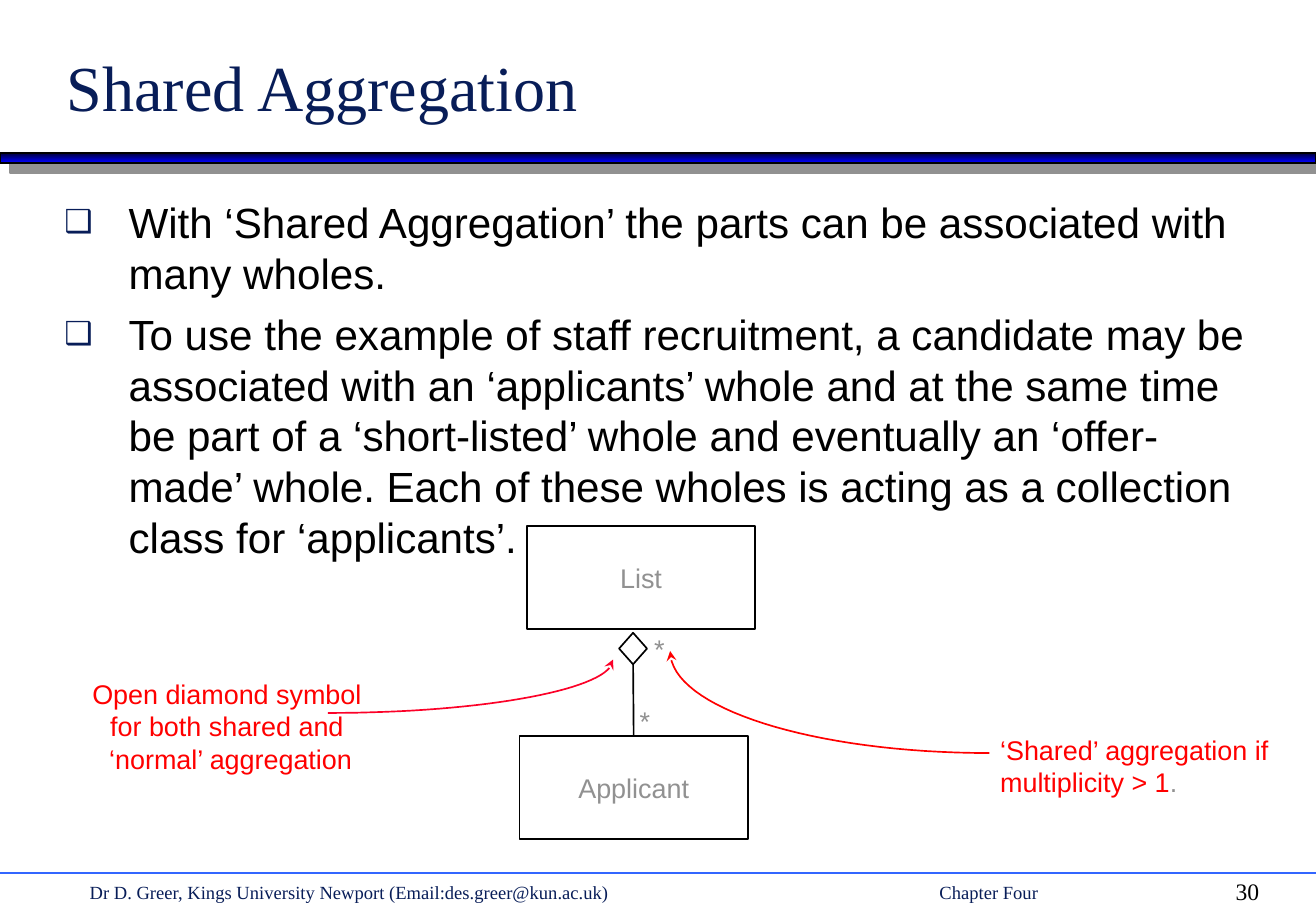
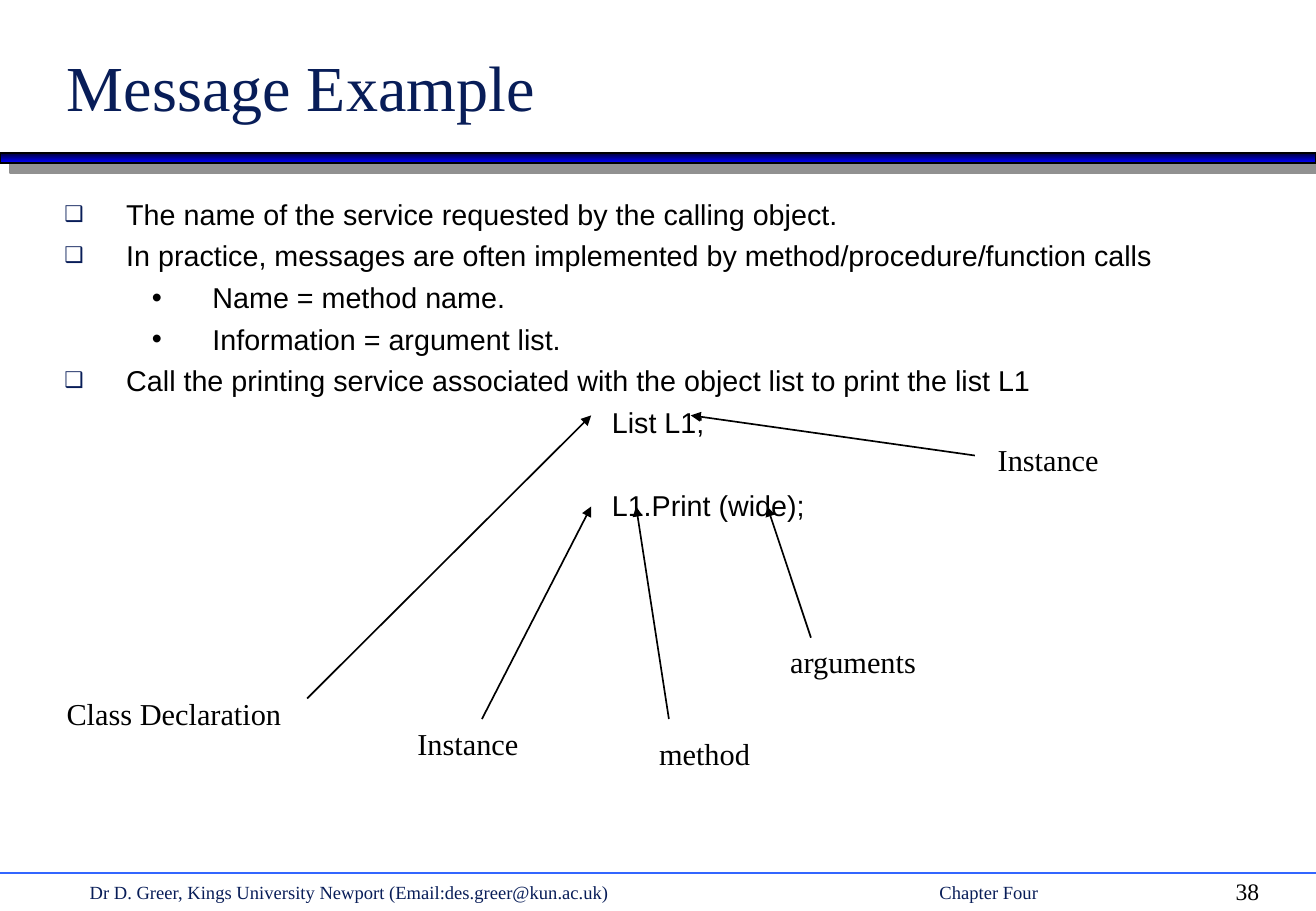
import pptx
import pptx.util
import pptx.dml.color
import pptx.enum.shapes
import pptx.enum.text
import pptx.oxml
import pptx.oxml.ns

Inches = pptx.util.Inches
Pt = pptx.util.Pt
RGBColor = pptx.dml.color.RGBColor
Shapes = pptx.enum.shapes.MSO_SHAPE
Align = pptx.enum.text.PP_ALIGN
Anchor = pptx.enum.text.MSO_ANCHOR
AutoSize = pptx.enum.text.MSO_AUTO_SIZE

NAVY = RGBColor(0x08, 0x1D, 0x58)
BLACK = RGBColor(0, 0, 0)
WHITE = RGBColor(255, 255, 255)
GRAY = RGBColor(0x91, 0x91, 0x91)
RED = RGBColor(255, 0, 0)
CRIMSON = RGBColor(0xFC, 0x01, 0x28)
RULE_BLUE = RGBColor(0x33, 0x66, 0xFF)
BAND_DARK = RGBColor(0, 0, 0x36)
BAND_BLUE = RGBColor(0, 0, 255)

SANS = "Arial"
SERIF = "Times New Roman"
WIDTH = 10.84
FOOTER = "Dr D. Greer, Kings University Newport (Email:des.greer@kun.ac.uk)"
SHADOW = (
    '<a:effectLst %s><a:outerShdw dist="107950" dir="2700000" algn="ctr" rotWithShape="0">'
    '<a:srgbClr val="919191"/></a:outerShdw></a:effectLst>'
)
SQUARE = {"left": 0.53, "indent": -0.53, "mark": "❑", "color": NAVY, "percent": 75}
SMALL_SQUARE = {**SQUARE, "left": 0.51, "indent": -0.51}
DOT = {"left": 1.22, "indent": -0.5, "mark": "•", "color": BLACK, "percent": 100, "level": 1}
CODE = {"left": 4.51, "indent": 0}


def assign(target, values):
    for name, value in values.items():
        setattr(target, name, value)


def add_xml(parent, markup):
    parent.append(pptx.oxml.parse_xml(markup % pptx.oxml.ns.nsdecls("a")))


class Lecture:
    def __init__(self):
        self.deck = pptx.Presentation()
        assign(self.deck, {"slide_width": Inches(WIDTH), "slide_height": Inches(7.5)})
        self.page = None

    def new_page(self, title, number):
        self.page = self.deck.slides.add_slide(self.deck.slide_layouts[1])
        heading = self.page.shapes.title
        self.place(heading, 0.45, 0.29, 9.25, 0.78)
        assign(heading.text_frame, {"vertical_anchor": Anchor.BOTTOM, "auto_size": AutoSize.NONE})
        para = heading.text_frame.paragraphs[0]
        para.alignment = Align.LEFT
        self.add_span(para, title, 38, NAVY, SERIF)
        self.band()
        self.line((0, 7.19), (WIDTH, 7.19), RULE_BLUE)
        self.label((0.64, 7.2, 6, 0.28), [FOOTER], 11, NAVY, SERIF)
        self.label((7.64, 7.2, 2, 0.28), ["Chapter Four"], 11, NAVY, SERIF)
        self.label((10.08, 7.17, 0.58, 0.33), [number], 14, BLACK, SERIF)

    def place(self, shape, left, top, width, height):
        assign(shape, {"left": Inches(left), "top": Inches(top),
                       "width": Inches(width), "height": Inches(height)})

    def add_span(self, para, text, size, color, font):
        span = para.add_run()
        span.text = text
        assign(span.font, {"size": Pt(size), "name": font})
        span.font.color.rgb = color

    def band(self):
        bar = self.shape(Shapes.RECTANGLE, 0, 1.26, WIDTH, 0.08)
        bar.fill.gradient()
        bar.fill.gradient_angle = 270
        for stop, color in zip(bar.fill.gradient_stops, (BAND_DARK, BAND_BLUE)):
            stop.color.rgb = color
        properties = bar._element.spPr
        properties.remove(properties.find(pptx.oxml.ns.qn("a:effectLst")))
        add_xml(properties, SHADOW)

    def shape(self, kind, left, top, width, height):
        shape = self.page.shapes.add_shape(
            kind, Inches(left), Inches(top), Inches(width), Inches(height))
        shape.shadow.inherit = False
        shape.fill.solid()
        shape.fill.fore_color.rgb = WHITE
        self.stroke(shape.line, BLACK)
        return shape

    def stroke(self, line, color, head=None):
        line.color.rgb = color
        line.width = Pt(1)
        if head:
            add_xml(line._get_or_add_ln(), f'<a:tailEnd %s type="{head}"/>')

    def class_box(self, name, left, top):
        box = self.shape(Shapes.RECTANGLE, left, top, 1.88, 0.85)
        assign(box.text_frame, {"vertical_anchor": Anchor.MIDDLE, "word_wrap": False})
        para = box.text_frame.paragraphs[0]
        para.alignment = Align.CENTER
        self.add_span(para, name, 16, GRAY, SANS)
        return box

    def label(self, frame, lines, size, color, font, align=Align.LEFT, wrap=True):
        box = self.page.shapes.add_textbox(*map(Inches, frame))
        box.text_frame.word_wrap = wrap
        for index, text in enumerate(lines):
            para = box.text_frame.add_paragraph() if index else box.text_frame.paragraphs[0]
            para.alignment = align
            self.add_span(para, text, size, color, font)
        return box

    def line(self, start, end, color=BLACK, head=None):
        line = self.page.shapes.add_connector(
            pptx.enum.shapes.MSO_CONNECTOR.STRAIGHT, *map(Inches, start + end))
        self.stroke(line.line, color, head)
        add_xml(line._element.spPr, "<a:effectLst %s/>")
        return line

    def curve(self, controls, color, steps=32):
        points = []
        for step in range(steps + 1):
            t = step / steps
            weights = ((1 - t) ** 3, 3 * t * (1 - t) ** 2, 3 * t * t * (1 - t), t ** 3)
            points.append(tuple(
                Inches(sum(weight * value for weight, value in zip(weights, axis)))
                for axis in zip(*controls)))
        builder = self.page.shapes.build_freeform(*points[0])
        builder.add_line_segments(points[1:], close=False)
        arc = builder.convert_to_shape()
        arc.shadow.inherit = False
        arc.fill.background()
        self.stroke(arc.line, color, "stealth")

    def body(self, items, size, gap):
        body = self.page.placeholders[1]
        self.place(body, 0.43, 1.57, 9.99, 5.35)
        body.text_frame.auto_size = AutoSize.NONE
        for index, (text, style, extra) in enumerate(items):
            para = body.text_frame.add_paragraph() if index else body.text_frame.paragraphs[0]
            assign(para, {"space_before": Pt(gap + extra), "level": style.get("level", 0)})
            self.add_span(para, text, size, BLACK, SANS)
            self.bullet(para, style)

    def bullet(self, para, style):
        properties = para._p.get_or_add_pPr()
        properties.set("marL", str(Inches(style["left"])))
        properties.set("indent", str(Inches(style["indent"])))
        if "mark" not in style:
            add_xml(properties, "<a:buNone %s/>")
            return
        add_xml(properties, f'<a:buClr %s><a:srgbClr val="{style["color"]}"/></a:buClr>')
        add_xml(properties, f'<a:buSzPct %s val="{style["percent"] * 1000}"/>')
        add_xml(properties, f'<a:buFont %s typeface="{SANS}"/>')
        add_xml(properties, f'<a:buChar %s char="{style["mark"]}"/>')


def shared_aggregation(lecture):
    lecture.new_page("Shared Aggregation", "30")
    lecture.body([
        ("With ‘Shared Aggregation’ the parts can be associated with many wholes.", SQUARE, 0),
        ("To use the example of staff recruitment, a candidate may be associated with an "
         "‘applicants’ whole and at the same time be part of a ‘short-listed’ whole and "
         "eventually an ‘offer-made’ whole. Each of these wholes is acting as a collection "
         "class for ‘applicants’.", SQUARE, 0),
    ], 25, 6.2)
    lecture.class_box("List", 4.34, 4.33)
    applicant = lecture.class_box("Applicant", 4.28, 6.06)
    diamond = lecture.shape(Shapes.DIAMOND, 5.1, 5.21, 0.23, 0.26)
    link = lecture.line((5.21, 5.47), (5.21, 6.06))
    link.begin_connect(diamond, 2)
    link.end_connect(applicant, 0)
    for left, top in ((5.29, 5.16), (5.17, 5.75)):
        lecture.label((left, top, 0.29, 0.37), ["*"], 16, GRAY, SANS, wrap=False)
    lecture.curve([(8.15, 6.2), (6.7, 6.2), (5.52, 5.83), (5.52, 5.36)], RED)
    lecture.curve([(2.7, 5.87), (4, 5.87), (5.05, 5.67), (5.05, 5.43)], CRIMSON)
    note = lecture.label((8.14, 5.99, 2.48, 0.63),
                         ["‘Shared’ aggregation if", "multiplicity > 1"],
                         16, RED, SANS, wrap=False)
    lecture.add_span(note.text_frame.paragraphs[1], ".", 16, GRAY, SANS)
    lecture.label((0.66, 5.53, 2.48, 0.9),
                  ["Open diamond symbol ", "for both shared and ", "‘normal’ aggregation"],
                  16, RED, SANS, Align.CENTER, False)


def message_example(lecture):
    lecture.new_page("Message Example", "38")
    lecture.body([
        ("The name of the service requested by the calling object.", SMALL_SQUARE, 0),
        ("In practice, messages are often implemented by method/procedure/function calls",
         SMALL_SQUARE, 0),
        ("Name = method name.", DOT, 0),
        ("Information = argument list.", DOT, 0),
        ("Call the printing service associated with the object list to print the list L1",
         SMALL_SQUARE, 0),
        ("List L1;", CODE, 0),
        ("L1.Print (wide);", CODE, 24.6),
    ], 17, 4.2)
    callouts = [
        ("Instance", (3.34, 5.92), 1.44, (3.97, 5.92), (4.87, 4.17)),
        ("arguments", (6.41, 5.25), 1.89, (6.68, 5.25), (6.32, 4.17)),
        ("Class Declaration", (0.45, 5.67), 2.17, (2.53, 5.75), (4.87, 3.42)),
        ("method", (5.33, 6), 1.89, (5.51, 5.92), (5.24, 4.17)),
        ("Instance", (8.12, 3.58), 1.44, (8.03, 3.75), (5.69, 3.42)),
    ]
    for text, corner, width, start, end in callouts:
        lecture.label((*corner, width, 0.4), [text], 18, BLACK, SERIF)
        lecture.line(start, end, head="triangle")


def main():
    lecture = Lecture()
    shared_aggregation(lecture)
    message_example(lecture)
    lecture.deck.save("out.pptx")


if __name__ == "__main__":
    main()
